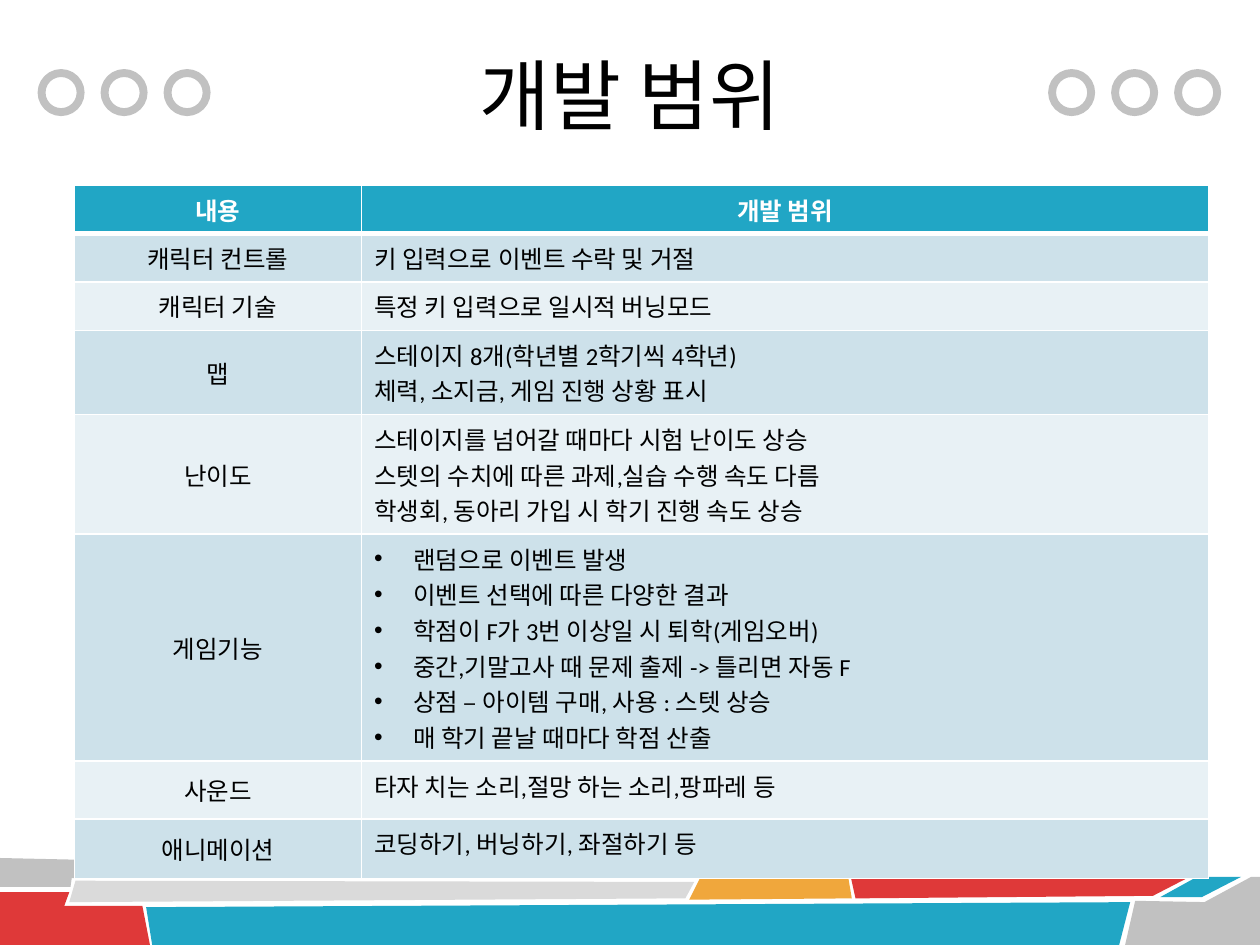
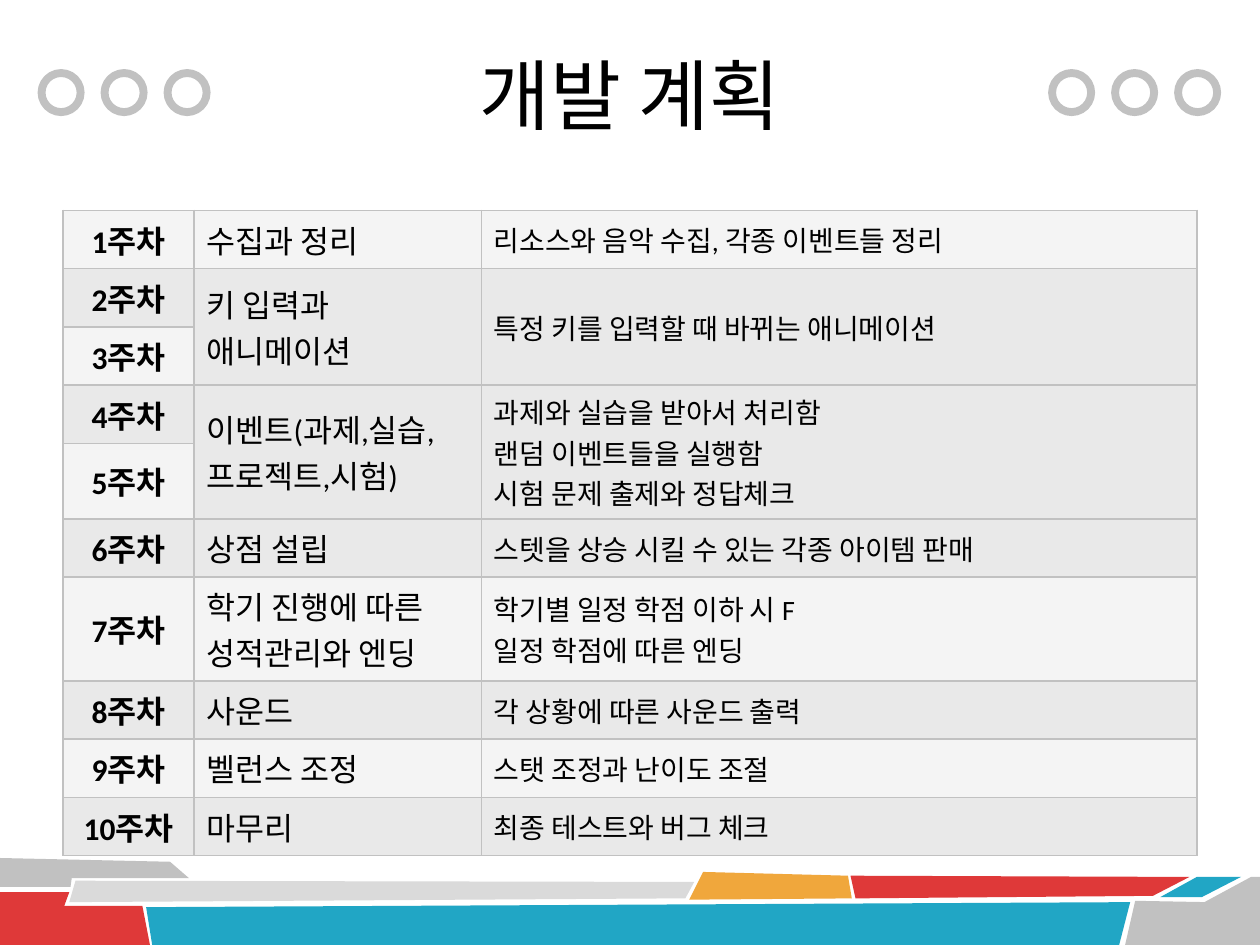
from dataclasses import dataclass

from lxml import etree
from pptx import Presentation
from pptx.dml.color import RGBColor
from pptx.enum.shapes import MSO_SHAPE
from pptx.enum.text import MSO_ANCHOR, PP_ALIGN
from pptx.oxml.ns import qn
from pptx.util import Inches, Pt

ELLIPSE = MSO_SHAPE.OVAL
TOP, MIDDLE = MSO_ANCHOR.TOP, MSO_ANCHOR.MIDDLE
LEFT, CENTER = PP_ALIGN.LEFT, PP_ALIGN.CENTER


@dataclass(frozen=True)
class Theme:
    font: str = "Calibri"
    black: str = "000000"
    white: str = "FFFFFF"
    gray: str = "C1C1C1"
    pale_gray: str = "DADADA"
    red: str = "DF3939"
    teal: str = "21A6C5"
    orange: str = "F0A73C"
    scope_stripes: tuple = ("CDE1EA", "E8F1F5")
    plan_stripes: tuple = ("F4F4F4", "E9E9E9")
    title_size: int = 44
    scope_size: int = 14
    week_size: int = 18
    detail_size: int = 16
    ring_width: float = 4.5
    border: int = 1
    header_border: int = 3


THEME = Theme()

SCOPE_TITLE = "개발 범위"
SCOPE_HEADER = ("내용", "개발 범위")
SCOPE_ROWS = [
    ("캐릭터 컨트롤", ["키 입력으로 이벤트 수락 및 거절"]),
    ("캐릭터 기술", ["특정 키 입력으로 일시적 버닝모드"]),
    ("맵", ["스테이지 8개(학년별 2학기씩 4학년)", "체력, 소지금, 게임 진행 상황 표시"]),
    ("난이도", [
        "스테이지를 넘어갈 때마다 시험 난이도 상승",
        "스텟의 수치에 따른 과제,실습 수행 속도 다름",
        "학생회, 동아리 가입 시 학기 진행 속도 상승",
    ]),
    ("게임기능", [
        "랜덤으로 이벤트 발생",
        "이벤트 선택에 따른 다양한 결과",
        "학점이 F가 3번 이상일 시 퇴학(게임오버)",
        "중간,기말고사 때 문제 출제 -> 틀리면 자동 F",
        "상점 – 아이템 구매, 사용 : 스텟 상승",
        "매 학기 끝날 때마다 학점 산출",
    ]),
    ("사운드", ["타자 치는 소리,절망 하는 소리,팡파레 등"]),
    ("애니메이션", ["코딩하기, 버닝하기, 좌절하기 등"]),
]
BULLETED_TOPIC = "게임기능"
SCOPE_COLUMNS = (2.28, 6.72)
SCOPE_HEIGHTS = (0.31, 0.31, 0.36, 0.53, 0.53, 1.19, 0.46, 0.47)

PLAN_TITLE = "개발 계획"
PLAN_STEPS = [
    (1, ["수집과 정리"], ["리소스와 음악 수집, 각종 이벤트들 정리"]),
    (2, ["키 입력과", "애니메이션"], ["특정 키를 입력할 때 바뀌는 애니메이션"]),
    (2, ["이벤트(과제,실습,프로젝트,시험)"],
     ["과제와 실습을 받아서 처리함", "랜덤 이벤트들을 실행함", "시험 문제 출제와 정답체크"]),
    (1, ["상점 설립"], ["스텟을 상승 시킬 수 있는 각종 아이템 판매"]),
    (1, ["학기 진행에 따른 성적관리와 엔딩"],
     ["학기별 일정 학점 이하 시 F", "일정 학점에 따른 엔딩"]),
    (1, ["사운드"], ["각 상황에 따른 사운드 출력"]),
    (1, ["벨런스 조정"], ["스탯 조정과 난이도 조절"]),
    (1, ["마무리"], ["최종 테스트와 버그 체크"]),
]
PLAN_COLUMNS = (1.04, 2.28, 5.68)
PLAN_ROW_HEIGHT = 0.41

FOOTER_PIECES = [
    (THEME.gray, [(0, 6.81), (1.35, 6.84), (1.5, 6.97), (0.57, 6.97), (0.56, 7.04), (0, 7.04)]),
    (THEME.red, [(0, 7.08), (0.55, 7.08), (0.51, 7.19), (1.13, 7.19), (1.19, 7.5), (0, 7.5)]),
    (THEME.pale_gray, [(0.6, 6.99), (5.51, 7), (5.44, 7.13), (0.55, 7.16)]),
    (THEME.teal, [(1.16, 7.2), (8.97, 7.16), (8.88, 7.51), (1.21, 7.51)]),
    (THEME.orange, [(5.58, 6.92), (6.73, 6.95), (6.76, 7.13), (5.47, 7.14)]),
    (THEME.red, [(6.75, 6.95), (9.44, 6.96), (9.15, 7.11), (6.79, 7.13)]),
    (THEME.teal, [(9.5, 6.96), (9.85, 6.96), (9.54, 7.12), (9.21, 7.12)]),
    (THEME.gray, [(9.01, 7.15), (9.56, 7.16), (9.93, 6.96), (10, 6.96), (10, 7.5), (8.93, 7.5)]),
]
RING_GROUPS = (0.33, 8.35)
RING_TOP, RING_SIZE, RING_STEP = 0.58, 0.31, 0.5
TITLE_BOX = (1.75, 0.12, 6.5, 1.25)
BULLET_INDENT = 0.31


def color(value):
    return RGBColor.from_string(value)


def format_runs(paragraph, size, ink, bold=False):
    for run in paragraph.runs:
        run.font.name = THEME.font
        run.font.size = Pt(size)
        run.font.bold = bold
        run.font.color.rgb = color(ink)


def draw_footer(slide):
    for fill, points in FOOTER_PIECES:
        corners = [(Inches(x), Inches(y)) for x, y in points]
        builder = slide.shapes.build_freeform(*corners[0])
        builder.add_line_segments(corners[1:], close=True)
        piece = builder.convert_to_shape()
        piece.fill.solid()
        piece.fill.fore_color.rgb = color(fill)
        piece.line.fill.background()
        yield piece


def draw_rings(slide):
    for start in RING_GROUPS:
        for index in range(3):
            ring = slide.shapes.add_shape(
                ELLIPSE, Inches(start + index * RING_STEP), Inches(RING_TOP),
                Inches(RING_SIZE), Inches(RING_SIZE))
            ring.fill.background()
            ring.line.color.rgb = color(THEME.gray)
            ring.line.width = Pt(THEME.ring_width)
            yield ring


def decorate_layout(layout, slide):
    title = layout.placeholders[0]
    title.left, title.top, title.width, title.height = map(Inches, TITLE_BOX)
    decorations = [*draw_footer(slide), *draw_rings(slide)]
    for number, shape in enumerate(decorations, start=101):
        shape.shadow.inherit = False
        shape.element.xpath(".//p:cNvPr")[0].set("id", str(number))
        layout.shapes.element.append(shape.element)


def set_title(slide, text):
    title = slide.shapes.title
    title.text_frame.text = text
    title.text_frame.vertical_anchor = MIDDLE
    paragraph = title.text_frame.paragraphs[0]
    paragraph.alignment = CENTER
    format_runs(paragraph, THEME.title_size, THEME.black)


def add_plain_table(slide, left, top, columns, heights):
    frame = slide.shapes.add_table(
        len(heights), len(columns), Inches(left), Inches(top),
        Inches(sum(columns)), Inches(sum(heights)))
    table = frame.table
    table.first_row = table.horz_banding = False
    for column, width in zip(table.columns, columns):
        column.width = Inches(width)
    for row, height in zip(table.rows, heights):
        row.height = Inches(height)
    return table


def style_cell(cell, fill, line, top=THEME.border, bottom=THEME.border):
    properties = cell._tc.get_or_add_tcPr()
    widths = {"lnL": THEME.border, "lnR": THEME.border, "lnT": top, "lnB": bottom}
    for side, width in widths.items():
        border = etree.SubElement(properties, qn("a:" + side), w=str(Pt(width)))
        solid = etree.SubElement(border, qn("a:solidFill"))
        etree.SubElement(solid, qn("a:srgbClr"), val=line)
    cell.fill.solid()
    cell.fill.fore_color.rgb = color(fill)


def write_cell(cell, lines, size, align=LEFT, anchor=MIDDLE, ink=THEME.black, bold=False):
    cell.text_frame.text = "\n".join(lines)
    cell.vertical_anchor = anchor
    for paragraph in cell.text_frame.paragraphs:
        paragraph.alignment = align
        format_runs(paragraph, size, ink, bold)


def add_bullets(cell):
    for paragraph in cell.text_frame.paragraphs:
        properties = paragraph._p.get_or_add_pPr()
        properties.set("marL", str(Inches(BULLET_INDENT)))
        properties.set("indent", str(-Inches(BULLET_INDENT)))
        etree.SubElement(properties, qn("a:buFont"), typeface="Arial")
        etree.SubElement(properties, qn("a:buChar"), char="•")


def fill_scope_slide(slide):
    set_title(slide, SCOPE_TITLE)
    table = add_plain_table(slide, 0.59, 1.47, SCOPE_COLUMNS, SCOPE_HEIGHTS)
    for index, heading in enumerate(SCOPE_HEADER):
        cell = table.cell(0, index)
        style_cell(cell, THEME.teal, THEME.white, bottom=THEME.header_border)
        write_cell(cell, [heading], THEME.scope_size, CENTER, TOP, THEME.white, True)
    for row, (topic, details) in enumerate(SCOPE_ROWS, start=1):
        topic_cell, detail_cell = table.cell(row, 0), table.cell(row, 1)
        top = THEME.header_border if row == 1 else THEME.border
        for cell in (topic_cell, detail_cell):
            style_cell(cell, THEME.scope_stripes[(row - 1) % 2], THEME.white, top=top)
        write_cell(topic_cell, [topic], THEME.scope_size, CENTER)
        write_cell(detail_cell, details, THEME.scope_size, anchor=TOP)
        if topic == BULLETED_TOPIC:
            add_bullets(detail_cell)


def fill_plan_slide(slide):
    set_title(slide, PLAN_TITLE)
    weeks = sum(step[0] for step in PLAN_STEPS)
    table = add_plain_table(slide, 0.5, 1.67, PLAN_COLUMNS, [PLAN_ROW_HEIGHT] * weeks)
    for row in range(weeks):
        for column in range(len(PLAN_COLUMNS)):
            style_cell(table.cell(row, column), THEME.plan_stripes[row % 2], THEME.gray)
        write_cell(table.cell(row, 0), [f"{row + 1}주차"], THEME.week_size, CENTER, bold=True)
    row = 0
    for span, task, details in PLAN_STEPS:
        for column, lines, size in ((1, task, THEME.week_size), (2, details, THEME.detail_size)):
            cell = table.cell(row, column)
            if span > 1:
                cell.merge(table.cell(row + span - 1, column))
            write_cell(cell, lines, size)
        row += span


presentation = Presentation()
presentation.slide_width, presentation.slide_height = Inches(10), Inches(7.5)
title_layout = presentation.slide_layouts[5]
scope_slide = presentation.slides.add_slide(title_layout)
plan_slide = presentation.slides.add_slide(title_layout)
decorate_layout(title_layout, scope_slide)
fill_scope_slide(scope_slide)
fill_plan_slide(plan_slide)
presentation.save("out.pptx")
